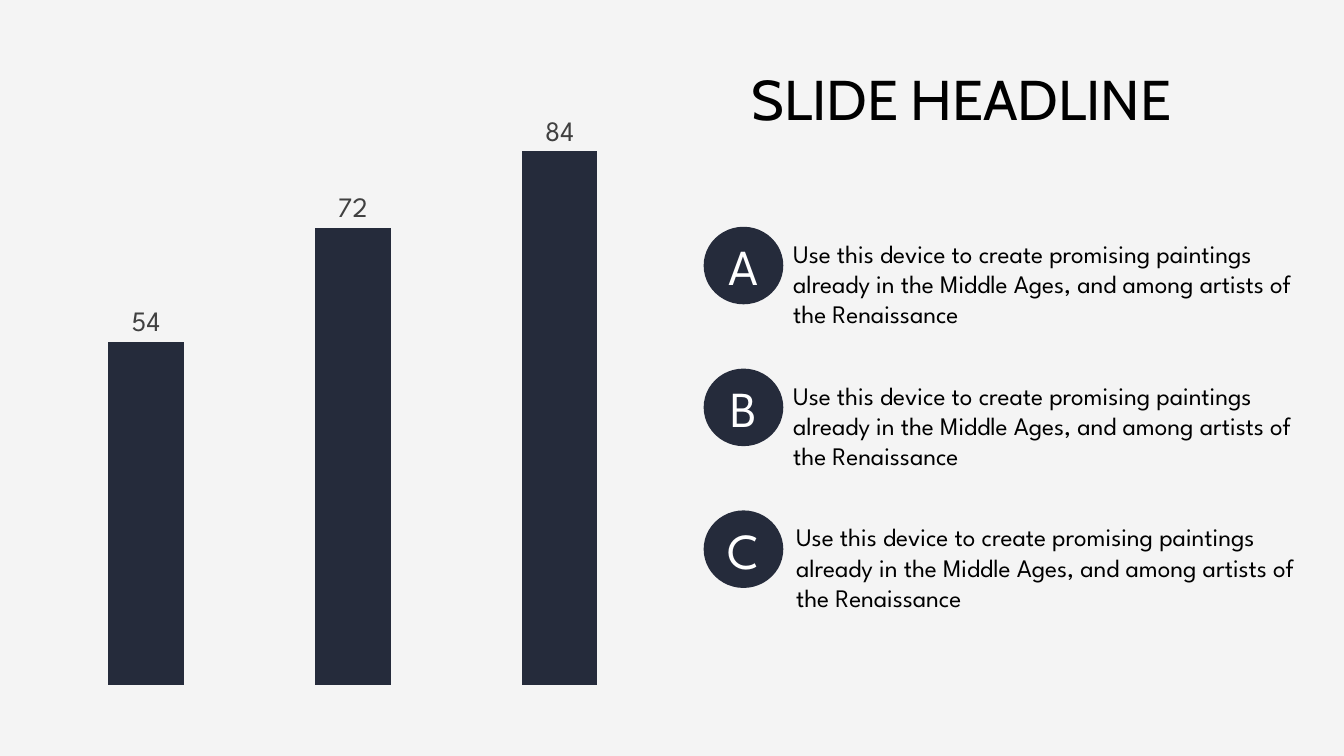
from lxml import etree
from pptx import Presentation
from pptx.chart import data as chart_data
from pptx.dml import color
from pptx.enum import chart as charts, shapes, text
from pptx.util import Pt

HEADLINE = "SLIDE HEADLINE"
BODY = ("Use this device to create promising paintings already in the "
        "Middle Ages, and among artists of the Renaissance")
ITEMS = [("A", 559.5), ("B", 559.5), ("C", 561.6)]
CATEGORIES = ["1", "2", "3"]
VALUES = [54, 72, 84]
COLORS = {"paper": "F4F4F4", "navy": "252B3B", "label": "404040",
          "black": "000000", "white": "FFFFFF"}
BODY_FONT = "League Spartan"
HEADLINE_FONT = "Cabin"
PLOT_LAYOUT = {"layoutTarget": "inner", "xMode": "edge", "yMode": "edge",
               "x": 0.047, "y": 0.026, "w": 0.953, "h": 0.948}
FIRST_TOP, ITEM_STEP, TEXT_DROP = 162, 101.3, 4.5


def rgb(name):
    return color.RGBColor.from_string(COLORS[name])


def style_font(font, name, size, tone):
    font.name = name
    font.size = Pt(size)
    font.color.rgb = rgb(tone)


def write(shape, words, name, size, tone):
    shape.text_frame.word_wrap = True
    para = shape.text_frame.paragraphs[0]
    span = para.add_run()
    span.text = words
    style_font(span.font, name, size, tone)
    return para


def add_text(page, left, top, width, height, words, name, size):
    box = page.shapes.add_textbox(Pt(left), Pt(top), Pt(width), Pt(height))
    write(box, words, name, size, "black")
    box.text_frame.auto_size = text.MSO_AUTO_SIZE.SHAPE_TO_FIT_TEXT


def add_badge(page, top, letter):
    badge = page.shapes.add_shape(shapes.MSO_SHAPE.OVAL, Pt(502.6), Pt(top),
                                  Pt(56.9), Pt(55.4))
    badge.shadow.inherit = False
    badge.fill.solid()
    badge.fill.fore_color.rgb = rgb("navy")
    badge.line.fill.background()
    badge.text_frame.vertical_anchor = text.MSO_ANCHOR.MIDDLE
    para = write(badge, letter, BODY_FONT, 36, "white")
    para.alignment = text.PP_ALIGN.CENTER


def fix_plot_area(chart):
    area = chart._chartSpace.chart.plotArea
    namespace = etree.QName(area).namespace
    for old in area.findall(f"{{{namespace}}}layout"):
        area.remove(old)
    layout = etree.Element(f"{{{namespace}}}layout")
    manual = etree.SubElement(layout, f"{{{namespace}}}manualLayout")
    for key, value in PLOT_LAYOUT.items():
        etree.SubElement(manual, f"{{{namespace}}}{key}", val=str(value))
    area.insert(0, layout)


def add_columns(page):
    data = chart_data.CategoryChartData()
    data.categories = CATEGORIES
    data.add_series("Series 1", VALUES)
    chart = page.shapes.add_chart(
        charts.XL_CHART_TYPE.COLUMN_CLUSTERED, Pt(8.6), Pt(69.8),
        Pt(465.1), Pt(430.6), data).chart
    style_font(chart.font, "Calibri", 10, "black")
    chart.has_legend = False
    chart.has_title = False
    chart.category_axis.visible = False
    axis = chart.value_axis
    axis.visible = False
    axis.has_major_gridlines = False
    axis.minimum_scale, axis.maximum_scale = 0, 90
    plot = chart.plots[0]
    plot.vary_by_categories = False
    plot.gap_width, plot.overlap = 174, -27
    series = plot.series[0]
    series.format.fill.solid()
    series.format.fill.fore_color.rgb = rgb("navy")
    labels = series.data_labels
    labels.show_value = True
    labels.position = charts.XL_LABEL_POSITION.OUTSIDE_END
    style_font(labels.font, BODY_FONT, 20, "label")
    fix_plot_area(chart)


def main():
    deck = Presentation()
    deck.slide_width, deck.slide_height = Pt(960), Pt(540)
    page = deck.slides.add_slide(deck.slide_layouts[6])
    page.background.fill.solid()
    page.background.fill.fore_color.rgb = rgb("paper")
    add_columns(page)
    add_text(page, 529.9, 42.5, 318.2, 55.4, HEADLINE, HEADLINE_FONT, 40)
    for index, (letter, text_left) in enumerate(ITEMS):
        top = FIRST_TOP + index * ITEM_STEP
        add_badge(page, top, letter)
        add_text(page, text_left, top + TEXT_DROP, 391.7, 72.7,
                 BODY, BODY_FONT, 18)
    deck.save("out.pptx")


if __name__ == "__main__":
    main()
